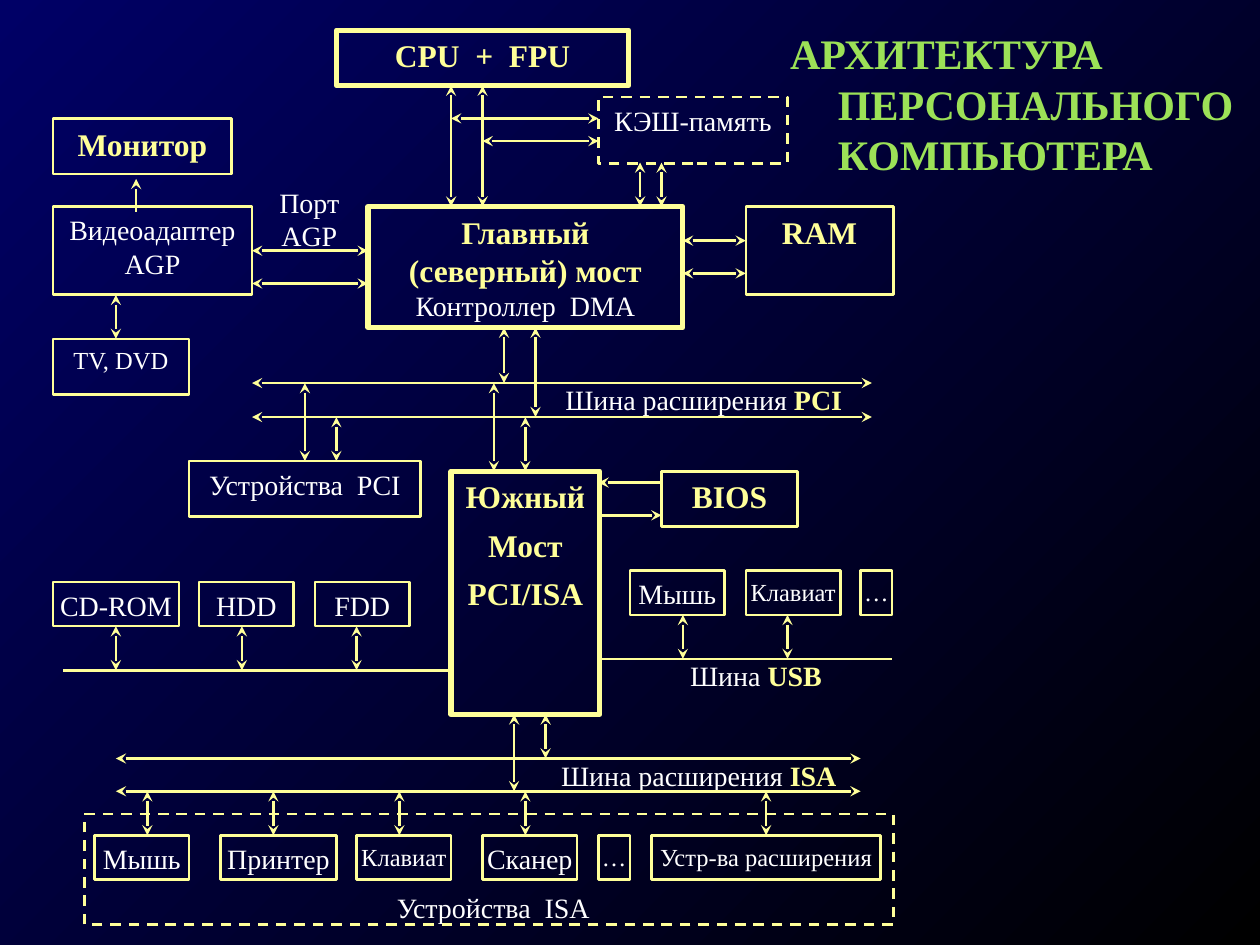
from lxml.etree import SubElement
from pptx import Presentation
from pptx.dml.color import RGBColor
from pptx.enum.dml import MSO_LINE
from pptx.enum.shapes import MSO_CONNECTOR, MSO_SHAPE
from pptx.enum.text import MSO_ANCHOR, MSO_AUTO_SIZE, PP_ALIGN
from pptx.oxml.ns import qn
from pptx.util import Inches, Pt

FONT = "Times New Roman"
YELLOW, WHITE, GREEN = "FFFF99", "FFFFFF", "9CE157"

# Text styles: size, colour, bold
TITLE = (24, GREEN, True)
HEADING = (18, YELLOW, True)
KEY = (16, YELLOW, True)
PLAIN = (16, WHITE, False)
SMALL = (14, WHITE, False)

TOP, BOTTOM, RIGHT = 0, 2, 3
PERIPHERAL_HEIGHT = 0.35


def color(hex_string):
    return RGBColor.from_string(hex_string)


def paint_background(slide):
    fill = slide.background.fill
    fill.gradient()
    fill.gradient_angle = 315
    for stop, shade in zip(fill.gradient_stops, ("000066", "000000")):
        stop.color.rgb = color(shade)


def add_run(paragraph, text, style):
    run = paragraph.add_run()
    run.text = text
    size, shade, bold = style
    run.font.name = FONT
    run.font.size = Pt(size)
    run.font.bold = bold
    run.font.color.rgb = color(shade)


def write_paragraphs(frame, paragraphs, margins=(0, 0), gap=0):
    """Fill a frame with centred paragraphs, each a list of (text, style) runs."""
    frame.word_wrap = True
    frame.vertical_anchor = MSO_ANCHOR.TOP
    frame.margin_left = frame.margin_right = Inches(margins[0])
    frame.margin_top = frame.margin_bottom = Inches(margins[1])
    for index, runs in enumerate(paragraphs):
        paragraph = frame.add_paragraph() if index else frame.paragraphs[0]
        paragraph.alignment = PP_ALIGN.CENTER
        if index:
            paragraph.space_before = Pt(gap)
        for text, style in runs:
            add_run(paragraph, text, style)


def write_title(slide, text):
    title = slide.shapes.title
    title.left, title.top = Inches(6.17), Inches(0.17)
    title.width, title.height = Inches(3.83), Inches(4.67)
    frame = title.text_frame
    frame.word_wrap = True
    frame.auto_size = MSO_AUTO_SIZE.NONE
    frame.vertical_anchor = MSO_ANCHOR.TOP
    paragraph = frame.paragraphs[0]
    paragraph.alignment = PP_ALIGN.LEFT
    properties = paragraph._p.get_or_add_pPr()
    properties.set("marL", str(Inches(0.38)))
    properties.set("indent", str(-Inches(0.38)))
    add_run(paragraph, text, TITLE)


def add_label(slide, left, top, width, height, *runs):
    label = slide.shapes.add_textbox(
        Inches(left), Inches(top), Inches(width), Inches(height))
    write_paragraphs(label.text_frame, [runs])


def add_box(slide, left, top, width, height, *paragraphs,
            weight=1.5, dashed=False, side_margin=0.1, gap=0):
    box = slide.shapes.add_shape(
        MSO_SHAPE.RECTANGLE, Inches(left), Inches(top), Inches(width), Inches(height))
    box.shadow.inherit = False
    box.fill.background()
    box.line.color.rgb = color(YELLOW)
    box.line.width = Pt(weight)
    if dashed:
        box.line.dash_style = MSO_LINE.DASH
    write_paragraphs(box.text_frame, paragraphs, (side_margin, 0.05), gap)
    return box


def add_peripherals(slide, top, items):
    """Add a row of small boxes given as (left, width, text, style)."""
    return [add_box(slide, left, top, width, PERIPHERAL_HEIGHT, [(text, style)],
                    side_margin=0)
            for left, width, text, style in items]


def add_line(slide, x1, y1, x2, y2, ends=("headEnd", "tailEnd"),
             begin=None, end=None):
    """Add a line with arrowheads at the named ends; begin and end are (box, side)."""
    connector = slide.shapes.add_connector(
        MSO_CONNECTOR.STRAIGHT, Inches(x1), Inches(y1), Inches(x2), Inches(y2))
    connector.line.color.rgb = color(YELLOW)
    connector.line.width = Pt(1.5)
    properties = connector.element.spPr
    outline = properties.find(qn("a:ln"))
    for name in ends:
        SubElement(outline, qn("a:" + name), type="stealth")
    SubElement(properties, qn("a:effectLst"))
    if begin:
        connector.begin_connect(*begin)
    if end:
        connector.end_connect(*end)


def add_vertical_arrows(slide, top, bottom, *positions):
    for x in positions:
        add_line(slide, x, top, x, bottom)


def add_horizontal_arrows(slide, left, right, *positions):
    for y in positions:
        add_line(slide, left, y, right, y)


def add_labels(slide):
    add_label(slide, 3.08, 7.07, 1.67, 0.26, ("Устройства  ISA", PLAIN))
    add_label(slide, 4.42, 6.02, 2.25, 0.26, ("Шина расширения ", PLAIN), ("ISA", KEY))
    add_label(slide, 5.25, 5.23, 1.5, 0.26, ("Шина ", PLAIN), ("USB", KEY))
    add_label(slide, 4.42, 3.04, 2.33, 0.26, ("Шина расширения ", PLAIN), ("PCI", KEY))
    add_label(slide, 2.08, 1.47, 0.75, 0.52, ("Порт AGP", PLAIN))


def add_north_section(slide):
    cpu = add_box(slide, 2.67, 0.24, 2.32, 0.44, [("CPU  +  FPU", HEADING)], weight=3)
    add_box(slide, 2.92, 1.64, 2.5, 0.96, [("Главный (северный) мост", HEADING)],
            [("Контроллер  DMA", PLAIN)], weight=3)
    add_box(slide, 5.92, 1.64, 1.17, 0.7, [("RAM", HEADING)])
    video = add_box(slide, 0.42, 1.64, 1.58, 0.7,
                    [("Видеоадаптер", PLAIN)], [("AGP", PLAIN)])
    add_box(slide, 0.42, 0.94, 1.42, 0.44, [("Монитор", HEADING)])
    add_box(slide, 0.42, 2.69, 1.08, 0.44, [("ТV, DVD", SMALL)])
    add_box(slide, 4.75, 0.77, 1.5, 0.53, [("КЭШ-память", PLAIN)], dashed=True)

    add_line(slide, 3.83, 0.68, 3.83, 1.64, begin=(cpu, BOTTOM))
    add_vertical_arrows(slide, 0.68, 1.64, 3.58)
    add_vertical_arrows(slide, 1.29, 1.64, 5.08, 5.25)
    add_vertical_arrows(slide, 2.34, 2.69, 0.92)
    add_line(slide, 1.08, 1.68, 1.08, 1.42, ends=("tailEnd",))
    add_horizontal_arrows(slide, 5.42, 5.92, 1.91, 2.17)
    add_line(slide, 2, 1.99, 2.92, 1.99, begin=(video, RIGHT))
    add_horizontal_arrows(slide, 2, 2.92, 2.25)
    add_horizontal_arrows(slide, 3.83, 4.75, 1.12)
    add_horizontal_arrows(slide, 3.58, 4.75, 0.94)


def add_south_section(slide):
    add_horizontal_arrows(slide, 2, 6.92, 3.04, 3.31)
    add_vertical_arrows(slide, 2.6, 3.04, 4)
    add_vertical_arrows(slide, 2.6, 3.31, 4.25)
    pci_devices = add_box(slide, 1.5, 3.66, 1.84, 0.44, [("Устройства  PCI", PLAIN)])
    add_line(slide, 2.42, 3.04, 2.42, 3.66, end=(pci_devices, TOP))
    add_vertical_arrows(slide, 3.31, 3.66, 2.67)

    south_bridge = add_box(
        slide, 3.58, 3.74, 1.18, 1.93,
        *([(word, HEADING)] for word in ("Южный", "Мост", "PCI/ISA")),
        weight=3, side_margin=0, gap=6)
    add_vertical_arrows(slide, 3.04, 3.74, 3.92)
    add_line(slide, 4.17, 3.31, 4.17, 3.74, end=(south_bridge, TOP))
    add_box(slide, 5.25, 3.74, 1.08, 0.44, [("BIOS", HEADING)], side_margin=0)
    add_line(slide, 4.75, 3.83, 5.25, 3.83, ends=("headEnd",))
    add_line(slide, 5.25, 4.09, 4.75, 4.09, ends=("headEnd",))

    add_peripherals(slide, 4.62, [
        (0.42, 1, "CD-ROM", PLAIN), (1.58, 0.75, "HDD", PLAIN), (2.5, 0.75, "FDD", PLAIN)])
    add_line(slide, 0.5, 5.32, 3.58, 5.32, ends=())
    add_vertical_arrows(slide, 4.97, 5.32, 0.92, 1.92, 2.83)
    add_peripherals(slide, 4.53, [
        (5, 0.75, "Мышь", PLAIN), (5.92, 0.75, "Клавиат", SMALL), (6.83, 0.25, "…", SMALL)])
    add_line(slide, 4.75, 5.23, 7.08, 5.23, ends=())
    add_vertical_arrows(slide, 4.88, 5.23, 5.42, 6.25)


def add_isa_section(slide):
    add_horizontal_arrows(slide, 0.92, 6.83, 6.02, 6.28)
    add_vertical_arrows(slide, 5.67, 6.02, 4.33)
    add_vertical_arrows(slide, 5.67, 6.28, 4.08)
    devices = add_peripherals(slide, 6.63, [
        (0.75, 0.75, "Мышь", PLAIN), (1.75, 0.92, "Принтер", PLAIN),
        (2.83, 0.75, "Клавиат", SMALL), (3.83, 0.75, "Сканер", PLAIN),
        (4.75, 0.25, "…", SMALL), (5.17, 1.82, "Устр-ва расширения", SMALL)])
    add_vertical_arrows(slide, 6.28, 6.63, 1.17, 2.17, 3.17, 4.17)
    add_line(slide, 6.08, 6.28, 6.08, 6.63, end=(devices[-1], TOP))
    add_box(slide, 0.67, 6.46, 6.42, 0.88, dashed=True)


def main():
    presentation = Presentation()
    presentation.slide_width, presentation.slide_height = Inches(10), Inches(7.5)
    slide = presentation.slides.add_slide(presentation.slide_layouts[5])
    paint_background(slide)
    write_title(slide, "АРХИТЕКТУРА ПЕРСОНАЛЬНОГО КОМПЬЮТЕРА")
    add_labels(slide)
    add_north_section(slide)
    add_south_section(slide)
    add_isa_section(slide)
    presentation.save("out.pptx")


if __name__ == "__main__":
    main()
